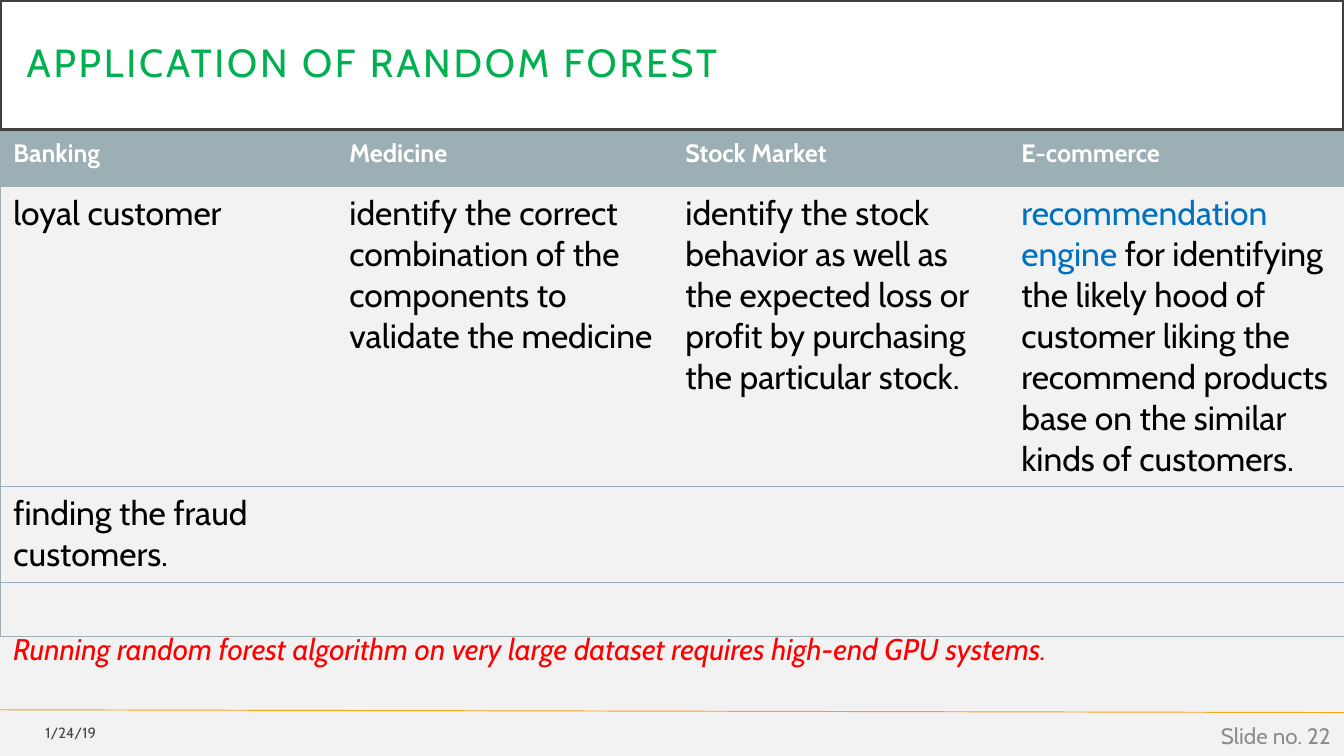
from lxml.etree import SubElement
from pptx import Presentation
from pptx.dml.color import RGBColor
from pptx.enum.shapes import MSO_CONNECTOR as CONNECTOR
from pptx.enum.text import MSO_ANCHOR as ANCHOR, MSO_AUTO_SIZE as AUTO_SIZE, PP_ALIGN as ALIGN
from pptx.oxml import parse_xml
from pptx.oxml.ns import nsdecls, qn
from pptx.util import Pt

PX = 9525  # 96 px to the inch
FONT = "Cabin"
NO_STYLE = "{2D5ABB26-0587-4C30-8999-92F81FD0307C}"

BACKGROUND = RGBColor(0xF2, 0xF2, 0xF2)
WHITE = RGBColor(0xFF, 0xFF, 0xFF)
BLACK = RGBColor(0x00, 0x00, 0x00)
FRAME = RGBColor(0x40, 0x40, 0x40)
GREEN = RGBColor(0x00, 0xB0, 0x50)
SLATE = RGBColor(0x9B, 0xAF, 0xB5)
BLUE = RGBColor(0x00, 0x70, 0xC0)
RED = RGBColor(0xFF, 0x00, 0x00)
GRAY = RGBColor(0x8C, 0x8C, 0x8C)
ORANGE = RGBColor(0xF6, 0xA2, 0x1D)


def write(paragraph, text, size, color, bold=False, italic=False, align=ALIGN.LEFT):
    """Append a formatted run to the paragraph and return it."""
    paragraph.alignment = align
    run = paragraph.add_run()
    run.text = text
    font = run.font
    font.name, font.size, font.bold, font.italic = FONT, Pt(size), bold, italic
    font.color.rgb = color
    return run


def add_text_box(box, anchor=ANCHOR.MIDDLE):
    """Add a wrapping text box and return its first paragraph."""
    frame = slide.shapes.add_textbox(*[n * PX for n in box]).text_frame
    frame.word_wrap = True
    frame.vertical_anchor = anchor
    return frame.paragraphs[0]


presentation = Presentation()
presentation.slide_width = 960 * PX
presentation.slide_height = 540 * PX
slide = presentation.slides.add_slide(presentation.slide_layouts[5])
slide.background.fill.solid()
slide.background.fill.fore_color.rgb = BACKGROUND

# Footer rule
rule = slide.shapes.add_connector(CONNECTOR.STRAIGHT, 0, 507 * PX, 960 * PX, 509 * PX)
rule.line.color.rgb = ORANGE
rule.line.width = Pt(0.5)
SubElement(rule._element.spPr, qn("a:effectLst"))

# Title
title = slide.shapes.title
title.left, title.top, title.width, title.height = 0, 0, 960 * PX, 93 * PX
title.fill.solid()
title.fill.fore_color.rgb = WHITE
title.line.color.rgb = FRAME
title.line.width = Pt(2.5)
frame = title.text_frame
frame.auto_size = AUTO_SIZE.NONE
frame.vertical_anchor = ANCHOR.MIDDLE
frame.margin_left = frame.margin_right = frame.margin_top = frame.margin_bottom = 19 * PX
frame.paragraphs[0].line_spacing = 0.9
heading = write(frame.paragraphs[0], "APPLICATION OF RANDOM FOREST", size=21, color=GREEN)
heading.font._element.set("spc", "150")

# Table of applications: each cell is a list of (text, colour) runs
headers = ["Banking", "Medicine", "Stock Market", "E-commerce"]
rows = [
    [[(header, WHITE)] for header in headers],
    [
        [("loyal customer", BLACK)],
        [("identify the correct combination of the components to validate the medicine", BLACK)],
        [("identify the stock behavior as well as the expected loss or profit "
          "by purchasing the particular stock.", BLACK)],
        [("recommendation engine ", BLUE),
         ("for identifying the likely hood of customer liking the recommend products "
          "base on the similar kinds of customers.", BLACK)],
    ],
    [[("finding the fraud customers.", BLACK)], [], [], []],
    [[], [], [], []],
]
last_column = len(headers) - 1
table_frame = slide.shapes.add_table(len(rows), len(headers), 0, 94 * PX, 960 * PX, 156 * PX)
table = table_frame.table
table.horz_banding = False
table._tbl.tblPr.find(qn("a:tableStyleId")).text = NO_STYLE

for row_index, row in enumerate(rows):
    for column_index, runs in enumerate(row):
        cell = table.cell(row_index, column_index)
        sides = ["lnT", "lnB"]
        if column_index == last_column:
            sides.insert(0, "lnR")
        if column_index == 0:
            sides.insert(0, "lnL")
        properties = cell._tc.get_or_add_tcPr()
        for side in sides:
            properties.append(parse_xml(
                f'<a:{side} {nsdecls("a")} w="6350"><a:solidFill>'
                f'<a:srgbClr val="{SLATE}"/></a:solidFill></a:{side}>'))
        is_header = row_index == 0
        if is_header:
            cell.fill.solid()
            cell.fill.fore_color.rgb = SLATE
        else:
            cell.fill.background()
        for text, color in runs:
            write(cell.text_frame.paragraphs[0], text, size=13.5 if is_header else 18,
                  color=color, bold=is_header)

# Footer and remark
date = write(add_text_box((0, 510, 78, 26)), "1/24/19", size=7.9, color=BLACK, align=ALIGN.RIGHT)
date_color = date.font._element.find(".//" + qn("a:srgbClr"))
SubElement(date_color, qn("a:alpha"), val="70000")
write(add_text_box((744, 511, 216, 29)), "Slide no. 22", size=12, color=GRAY, align=ALIGN.RIGHT)
write(add_text_box((0, 446, 934, 36), anchor=ANCHOR.TOP),
      "Running random forest algorithm on very large dataset requires high-end GPU systems.",
      size=16, color=RED, italic=True)

presentation.save("out.pptx")
